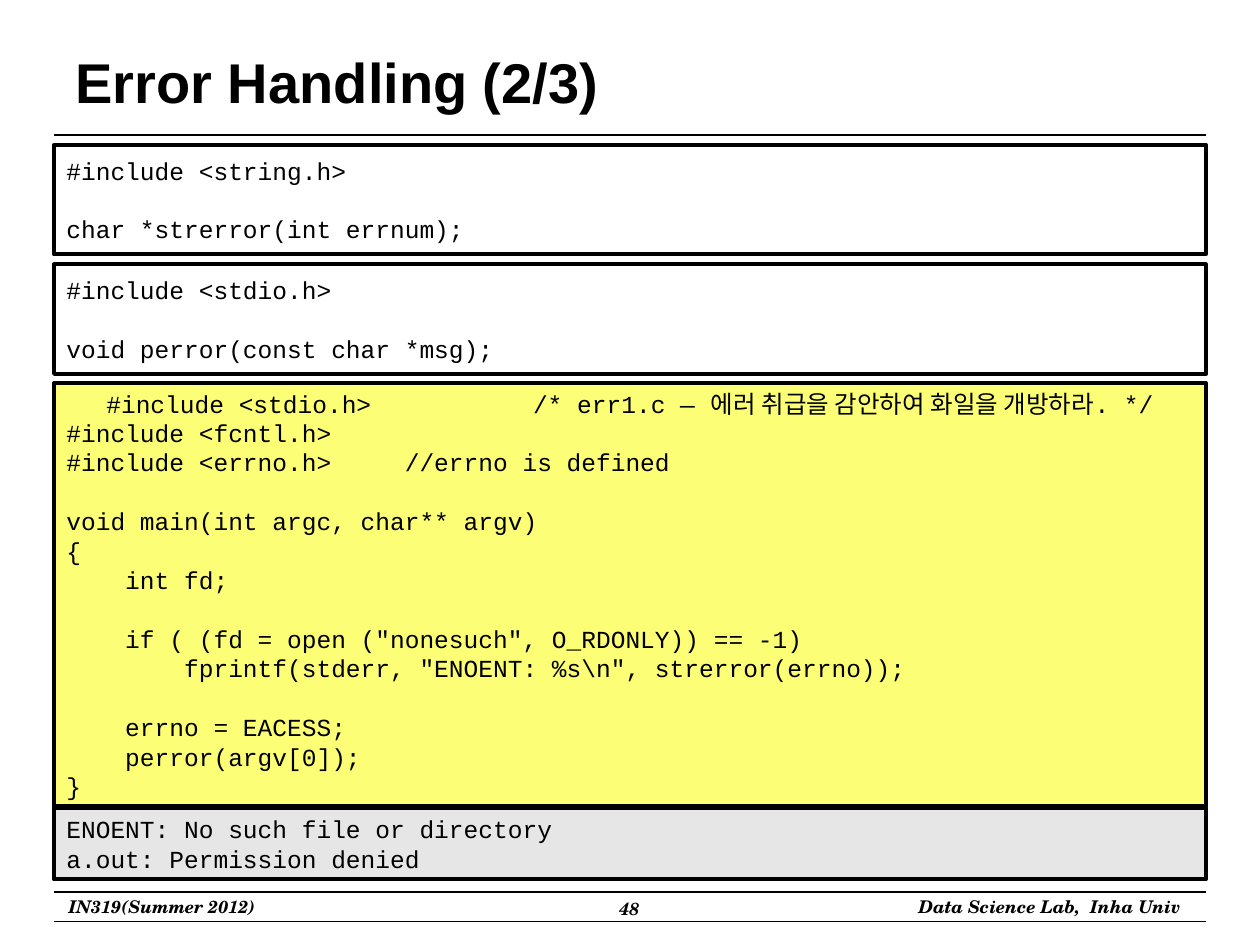
from dataclasses import dataclass

from lxml import etree
from pptx import Presentation
from pptx import util as u
from pptx.dml.color import RGBColor
from pptx.enum import shapes, text
from pptx.oxml import ns

BLACK = RGBColor(0x00, 0x00, 0x00)
WHITE = RGBColor(0xFF, 0xFF, 0xFF)
YELLOW = RGBColor(0xFC, 0xFF, 0x75)
GREY = RGBColor(0xE6, 0xE6, 0xE6)

LEFT, WIDTH = 1.09, 23.22
CODE_LINE = u.Pt(16.8)
LEFT_ALIGN = text.PP_ALIGN.LEFT
CENTER = text.PP_ALIGN.CENTER
RIGHT = text.PP_ALIGN.RIGHT


@dataclass
class CodePanel:
    top: float
    height: float
    fill: RGBColor
    code: str
    first_align: text.PP_ALIGN = LEFT_ALIGN


@dataclass
class FooterLabel:
    left: float
    top: float
    width: float
    wording: str
    align: text.PP_ALIGN


PROGRAM = r"""#include <stdio.h>           /* err1.c ― 에러 취급을 감안하여 화일을 개방하라. */
#include <fcntl.h>
#include <errno.h>     //errno is defined

void main(int argc, char** argv)
{
    int fd;

    if ( (fd = open ("nonesuch", O_RDONLY)) == -1)
        fprintf(stderr, "ENOENT: %s\n", strerror(errno));

    errno = EACESS;
    perror(argv[0]);
}"""

PANELS = [
    CodePanel(7.72, 8.53, YELLOW, PROGRAM, CENTER),
    CodePanel(2.92, 2.21, WHITE, "#include <string.h>\n\nchar *strerror(int errnum);"),
    CodePanel(5.33, 2.21, WHITE, "#include <stdio.h>\n\nvoid perror(const char *msg);"),
    CodePanel(16.28, 1.45, GREY,
              "ENOENT: No such file or directory\na.out: Permission denied"),
]

FOOTER = [
    FooterLabel(0.94, 17.93, 4.65, "IN319(Summer 2012)", CENTER),
    FooterLabel(17.6, 17.93, 6.45, "Data Science Lab,  Inha Univ", RIGHT),
    FooterLabel(9.73, 17.98, 5.92, "48", CENTER),
]

RULES = [2.72, 17.98, 18.57]


def set_font(paragraph, name: str, size: float, bold: bool = False,
             italic: bool = False) -> None:
    for run in paragraph.runs:
        run.font.name = name
        run.font.size = u.Pt(size)
        run.font.bold = bold
        run.font.italic = italic
        run.font.color.rgb = BLACK


def draw_rule(slide, top: float) -> None:
    rule = slide.shapes.add_connector(
        shapes.MSO_CONNECTOR.STRAIGHT,
        u.Cm(LEFT), u.Cm(top), u.Cm(LEFT + WIDTH), u.Cm(top))
    rule.line.color.rgb = BLACK
    rule.line.width = u.Pt(0.75)
    etree.SubElement(rule.element.spPr, ns.qn("a:effectLst"))


def draw_footer_label(slide, label: FooterLabel) -> None:
    frame = slide.shapes.add_textbox(
        u.Cm(label.left), u.Cm(label.top), u.Cm(label.width), u.Cm(0.69)).text_frame
    frame.word_wrap = True
    frame.vertical_anchor = text.MSO_ANCHOR.MIDDLE
    frame.text = label.wording
    frame.paragraphs[0].alignment = label.align
    set_font(frame.paragraphs[0], "TeX Gyre Schola", 10, bold=True, italic=True)


def draw_panel(slide, panel: CodePanel) -> None:
    box = slide.shapes.add_shape(
        shapes.MSO_SHAPE.RECTANGLE,
        u.Cm(LEFT), u.Cm(panel.top), u.Cm(WIDTH), u.Cm(panel.height))
    box.shadow.inherit = False
    box.fill.solid()
    box.fill.fore_color.rgb = panel.fill
    box.line.color.rgb = BLACK
    box.line.width = u.Pt(2.25)

    frame = box.text_frame
    frame.word_wrap = True
    frame.vertical_anchor = text.MSO_ANCHOR.MIDDLE
    lines = panel.code.split("\n")
    frame.text = "\n".join(line for line in lines if line)
    after_gap = [not before for before, line in zip(["#"] + lines, lines) if line]
    for paragraph, gap in zip(frame.paragraphs, after_gap):
        paragraph.alignment = LEFT_ALIGN
        paragraph.line_spacing = CODE_LINE
        if gap:
            paragraph.space_before = CODE_LINE
        set_font(paragraph, "Courier New", 14)
    frame.paragraphs[0].alignment = panel.first_align


def draw_title(slide, wording: str) -> None:
    title = slide.shapes.title
    title.left, title.top = u.Cm(1.27), u.Cm(0.76)
    title.width, title.height = u.Cm(22.86), u.Cm(1.75)
    frame = title.text_frame
    frame.text = wording
    frame.vertical_anchor = text.MSO_ANCHOR.MIDDLE
    frame.paragraphs[0].alignment = LEFT_ALIGN
    set_font(frame.paragraphs[0], "Arial", 32, bold=True)


def main() -> None:
    deck = Presentation()
    deck.slide_width, deck.slide_height = u.Cm(25.4), u.Cm(19.05)
    slide = deck.slides.add_slide(deck.slide_layouts.get_by_name("Title Only"))
    draw_title(slide, "Error Handling (2/3)")
    for top in RULES:
        draw_rule(slide, top)
    for label in FOOTER:
        draw_footer_label(slide, label)
    for panel in PANELS:
        draw_panel(slide, panel)
    deck.save("out.pptx")


if __name__ == "__main__":
    main()
